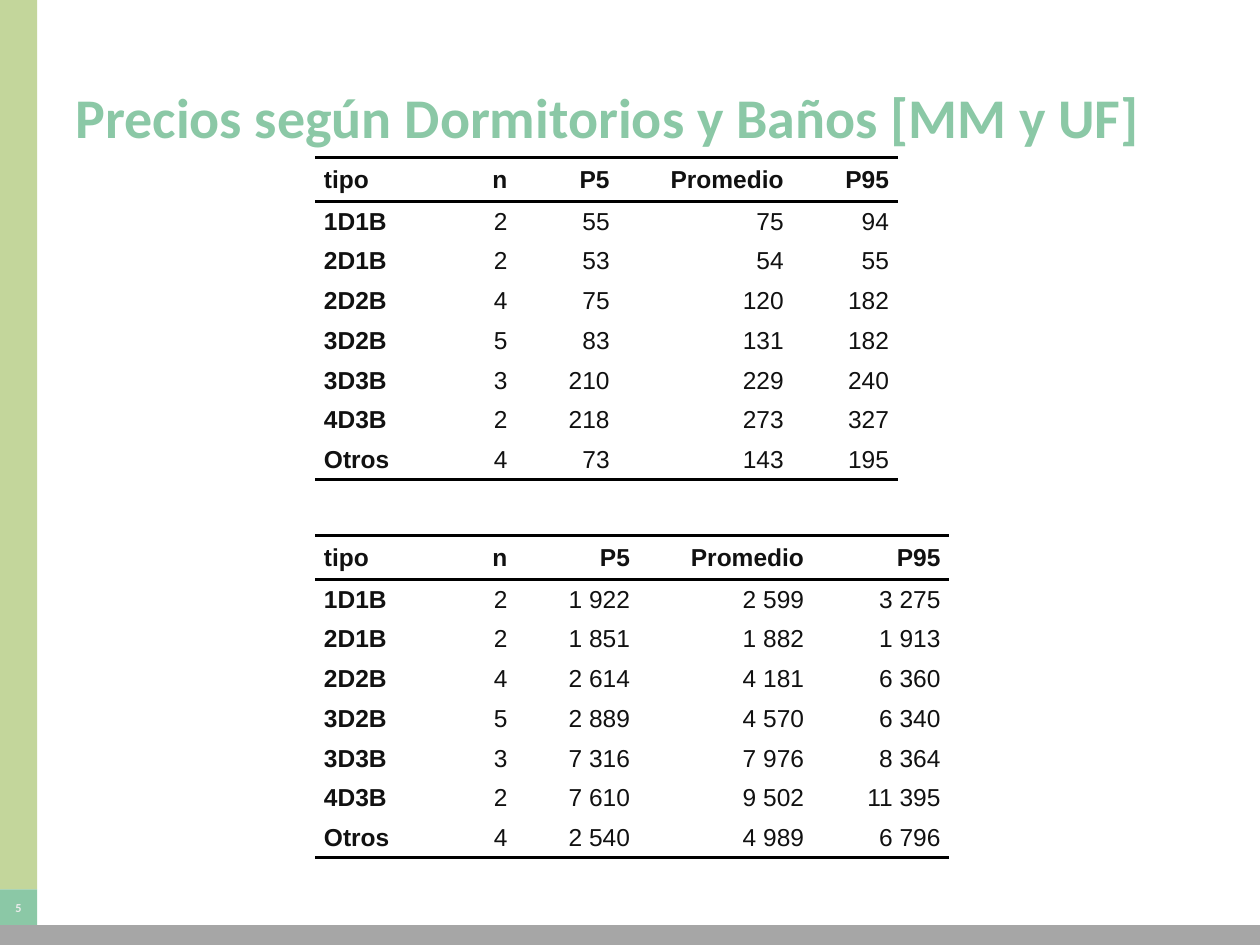
from pptx import Presentation
from pptx.dml.color import RGBColor
from pptx.enum.shapes import MSO_SHAPE
from pptx.enum.text import MSO_ANCHOR, PP_ALIGN
from pptx.oxml import parse_xml
from pptx.oxml.ns import nsdecls, qn
from pptx.util import Cm, Pt

RECT = MSO_SHAPE.RECTANGLE
MID = MSO_ANCHOR.MIDDLE
LEFT, MIDDLE, RIGHT = PP_ALIGN.LEFT, PP_ALIGN.CENTER, PP_ALIGN.RIGHT
PLAIN = "{2D5ABB26-0587-4C30-8999-92F81FD0307C}"

HEAD = ["tipo", "n", "P5", "Promedio", "P95"]
KINDS = ["1D1B", "2D1B", "2D2B", "3D2B", "3D3B", "4D3B", "Otros"]
COUNTS = ["2", "2", "4", "5", "3", "2", "4"]
MILLIONS = [
    ("55", "75", "94"),
    ("53", "54", "55"),
    ("75", "120", "182"),
    ("83", "131", "182"),
    ("210", "229", "240"),
    ("218", "273", "327"),
    ("73", "143", "195"),
]
UNITS = [
    ("1 922", "2 599", "3 275"),
    ("1 851", "1 882", "1 913"),
    ("2 614", "4 181", "6 360"),
    ("2 889", "4 570", "6 340"),
    ("7 316", "7 976", "8 364"),
    ("7 610", "9 502", "11 395"),
    ("2 540", "4 989", "6 796"),
]


def color(code):
    return RGBColor.from_string(code)


def assign(target, values):
    for name, value in values.items():
        setattr(target, name, value)


class Deck:
    """Holds the style and the current slide, and draws each kind of element."""

    title = {"name": "Calibri", "size": Pt(32), "bold": True}
    page = {"name": "Calibri", "size": Pt(7), "bold": True}
    body = {"name": "Arial", "size": Pt(14)}
    space = {"space_before": Pt(2), "space_after": Pt(2)}
    inset = {
        "margin_left": Cm(0.18),
        "margin_right": Cm(0.18),
        "margin_top": 0,
        "margin_bottom": 0,
        "vertical_anchor": MID,
    }

    def __init__(self, slide):
        self.slide = slide

    def label(self, frame, text, font, code, align=LEFT):
        par = frame.paragraphs[0]
        par.alignment = align
        run = par.add_run()
        run.text = text
        assign(run.font, font)
        run.font.color.rgb = color(code)
        return par

    def bar(self, x, y, width, height, code):
        shape = self.slide.shapes.add_shape(RECT, Cm(x), Cm(y), Cm(width), Cm(height))
        shape.shadow.inherit = False
        shape.fill.solid()
        shape.fill.fore_color.rgb = color(code)
        shape.line.fill.background()
        return shape

    def badge(self, x, y, width, height, code, text):
        frame = self.bar(x, y, width, height, code).text_frame
        assign(frame, {"margin_left": 0, "margin_right": 0, "vertical_anchor": MID})
        self.label(frame, text, self.page, "ECECEC", MIDDLE)

    def heading(self, x, y, width, height, text):
        box = self.slide.shapes.add_textbox(Cm(x), Cm(y), Cm(width), Cm(height))
        assign(box.text_frame, {"word_wrap": True, "vertical_anchor": MID})
        self.label(box.text_frame, text, self.title, "8BC8A6")

    def rule(self, cell, sides):
        props = cell._tc.get_or_add_tcPr()
        for spot, side in enumerate(sides):
            props.insert(spot, parse_xml(
                f'<a:ln{side} {nsdecls("a")} w="{Pt(2)}"><a:solidFill>'
                f'<a:srgbClr val="000000"/></a:solidFill></a:ln{side}>'))

    def table(self, x, y, widths, prices):
        rows = [HEAD] + [[kind, count, *price]
                         for kind, count, price in zip(KINDS, COUNTS, prices)]
        last = len(rows) - 1
        tall = [0.89] + [0.8] * last
        table = self.slide.shapes.add_table(
            len(rows), len(HEAD), Cm(x), Cm(y), Cm(sum(widths)), Cm(sum(tall))).table
        table.horz_banding = False
        table._tbl.tblPr.find(qn("a:tableStyleId")).text = PLAIN
        for col, width in zip(table.columns, widths):
            col.width = Cm(width)
        for row, height in zip(table.rows, tall):
            row.height = Cm(height)
        edges = {0: "TB", last: "B"}
        for r, row in enumerate(rows):
            for c, text in enumerate(row):
                cell = table.cell(r, c)
                assign(cell, self.inset)
                cell.fill.background()
                font = {**self.body, "bold": r == 0 or c == 0}
                align = RIGHT if c else LEFT
                par = self.label(cell.text_frame, text, font, "111111", align)
                assign(par, self.space)
                self.rule(cell, edges.get(r, ""))


def main():
    prs = Presentation()
    assign(prs, {"slide_width": Cm(25.4), "slide_height": Cm(19.05)})
    deck = Deck(prs.slides.add_slide(prs.slide_layouts[6]))
    deck.bar(0, 0, 0.75, 17.93, "C3D69B")
    deck.badge(0, 17.93, 0.75, 0.73, "8BC8A6", "5")
    deck.bar(0, 18.65, 25.4, 0.4, "A6A6A6")
    deck.heading(1.27, 0.76, 22.86, 3.18, "Precios según Dormitorios y Baños [MM y UF]")
    deck.table(6.35, 3.18, [2.54, 1.52, 2.06, 3.51, 2.12], MILLIONS)
    deck.table(6.35, 10.8, [2.54, 1.52, 2.47, 3.51, 2.75], UNITS)
    prs.save("out.pptx")


if __name__ == "__main__":
    main()
